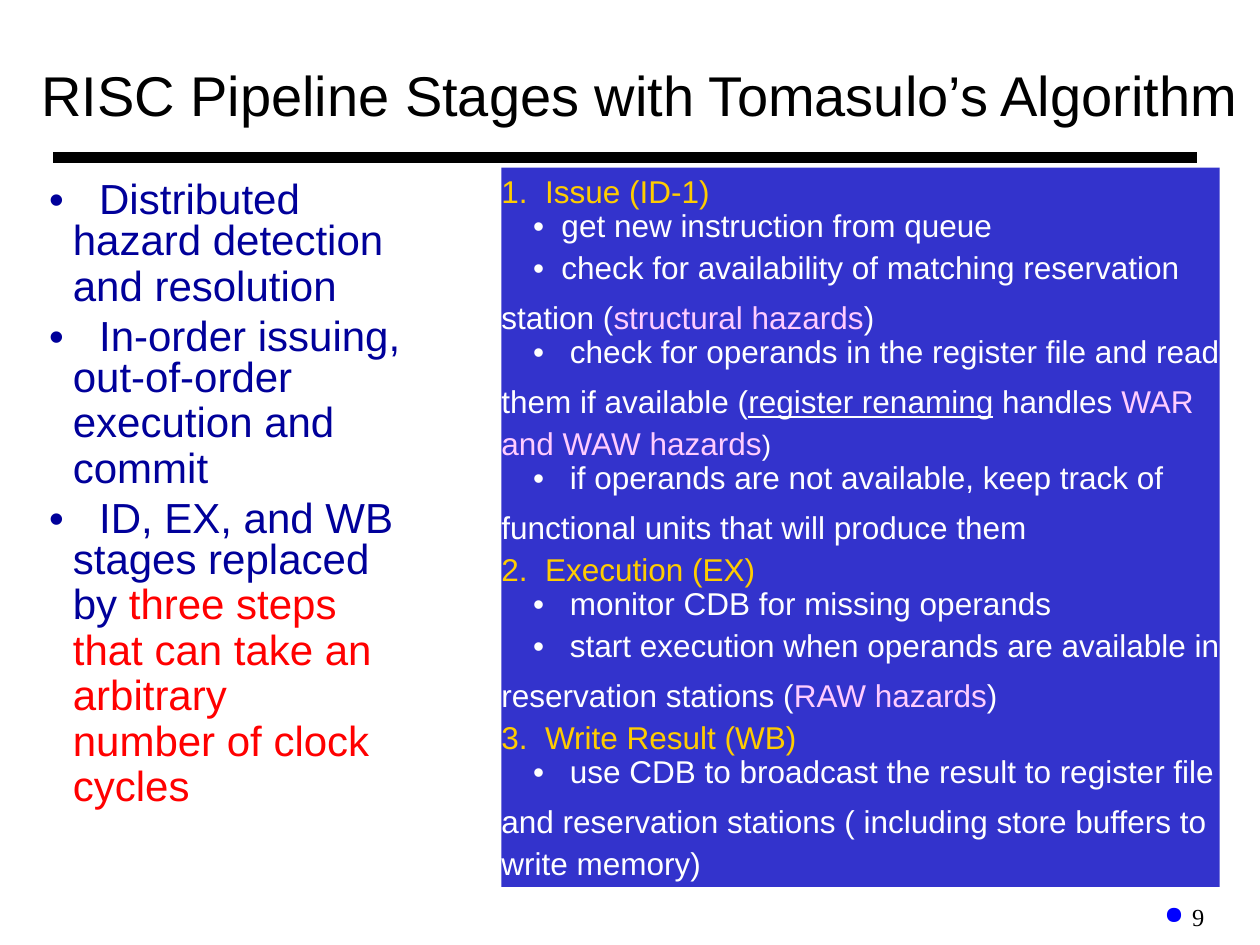
from lxml.etree import SubElement
from pptx import Presentation
from pptx.dml.color import RGBColor
from pptx.enum.shapes import MSO_CONNECTOR, MSO_SHAPE
from pptx.enum.text import MSO_ANCHOR, MSO_AUTO_SIZE, PP_ALIGN
from pptx.oxml.ns import qn
from pptx.util import Cm, Pt

COLOURS = {
    "black": "000000", "white": "FFFFFF", "navy": "00009A", "red": "FF0000",
    "panel": "3333CC", "gold": "FFCC00", "pink": "FFCCFF", "blue": "0000FF",
}

# Each point is a list of lines; each line is a list of (text, colour) spans.
POINTS = [
    [[("Distributed", "navy")], [("hazard detection", "navy")],
     [("and resolution", "navy")]],
    [[("In-order issuing,", "navy")], [("out-of-order", "navy")],
     [("execution and", "navy")], [("commit", "navy")]],
    [[("ID, EX, and WB", "navy")], [("stages replaced", "navy")],
     [("by ", "navy"), ("three steps", "red")], [("that can take an", "red")],
     [("arbitrary", "red")], [("number of clock", "red")], [("cycles", "red")]],
]

# Each stage has a title, then items as (gap after the bullet in cm, spans).
NEAR, FAR = 1.21, 1.38
STAGES = [
    ("Issue (ID-1)", [
        (NEAR, [("get new instruction from queue", "white")]),
        (NEAR, [("check for availability of matching reservation station (", "white"),
                ("structural hazards", "pink"), (")", "white")]),
        (FAR, [("check for operands in the register file and read them if available (",
                "white"),
               ("register renaming", "white", {"underline": True}),
               (" handles ", "white"), ("WAR and WAW hazards", "pink"),
               (")", "white", {"size": Pt(16)})]),
        (FAR, [("if operands are not available, keep track of functional units "
                "that will produce them", "white")]),
    ]),
    ("Execution (EX)", [
        (FAR, [("monitor CDB for missing operands", "white")]),
        (FAR, [("start execution when operands are available in reservation stations (",
                "white"), ("RAW hazards", "pink"), (")", "white")]),
    ]),
    ("Write Result (WB)", [
        (FAR, [("use CDB to broadcast the result to register file and reservation "
                "stations ( including store buffers to write memory)", "white")]),
    ]),
]


class SlideBuilder:
    def __init__(self, page, font="Arial"):
        self.page = page
        self.font = font

    def colour(self, name):
        return RGBColor.from_string(COLOURS[name])

    def frame(self, box, margins, wrap=True):
        frame = box.text_frame
        frame.word_wrap = wrap
        frame.vertical_anchor = MSO_ANCHOR.TOP
        frame.margin_left = frame.margin_right = Cm(margins[0])
        frame.margin_top, frame.margin_bottom = Cm(margins[1]), Cm(margins[2])
        return frame

    def text_box(self, left, top, width, height, margins=(0.25, 0.13, 0.13), wrap=True):
        box = self.page.shapes.add_textbox(Cm(left), Cm(top), Cm(width), Cm(height))
        return self.frame(box, margins, wrap)

    def panel(self, left, top, width, height, margins, fill):
        box = self.page.shapes.add_shape(
            MSO_SHAPE.RECTANGLE, Cm(left), Cm(top), Cm(width), Cm(height))
        box.shadow.inherit = False
        box.fill.solid()
        box.fill.fore_color.rgb = self.colour(fill)
        box.line.fill.background()
        return self.frame(box, margins)

    def rule(self, left, right, height, weight):
        line = self.page.shapes.add_connector(
            MSO_CONNECTOR.STRAIGHT, Cm(left), Cm(height), Cm(right), Cm(height))
        line.line.color.rgb = self.colour("black")
        line.line.width = Pt(weight)
        SubElement(line._element.spPr, qn("a:effectLst"))

    def span(self, para, text, size, colour, extra=None):
        span = para.add_run()
        span.text = text
        span.font.name = self.font
        span.font.size = Pt(size)
        span.font.color.rgb = self.colour(colour)
        for name, value in (extra or {}).items():
            setattr(span.font, name, value)

    def paragraph(self, frame, spans, size, spacing=None, stops=(), lead=None):
        """Add a line of spans; lead is the size of a tab placed in front."""
        para = frame.paragraphs[0]
        if para.runs:
            para = frame.add_paragraph()
        para.alignment = PP_ALIGN.LEFT
        if stops:
            tabs = SubElement(para._p.get_or_add_pPr(), qn("a:tabLst"))
            for stop in stops:
                SubElement(tabs, qn("a:tab"), pos=str(Cm(stop)), algn="l")
        if spacing:
            para.line_spacing = Pt(spacing)
        if lead:
            self.span(para, "\t", lead, "black")
        for text, colour, *extra in spans:
            self.span(para, text, size, colour, *extra)
        return para

    def bullet(self, para, mark, colour, indent):
        properties = para._p.get_or_add_pPr()
        properties.set("marL", str(Cm(indent)))
        properties.set("indent", str(-Cm(indent)))
        fill = SubElement(properties, qn("a:buClr"))
        SubElement(fill, qn("a:srgbClr"), val=COLOURS[colour])
        SubElement(properties, qn("a:buChar"), char=mark)


def main():
    deck = Presentation()
    deck.slide_width, deck.slide_height = Cm(25.4), Cm(19.05)
    builder = SlideBuilder(deck.slides.add_slide(deck.slide_layouts[6]))

    title = builder.text_box(0.58, 1.09, 24.94, 1.63, wrap=False)
    title.auto_size = MSO_AUTO_SIZE.SHAPE_TO_FIT_TEXT
    builder.paragraph(
        title, [("RISC Pipeline Stages with Tomasulo’s Algorithm", "black")], 32)
    builder.rule(1.07, 24.13, 3.18, 6)

    summary = builder.text_box(0.99, 3.58, 8.71, 12.98, (0, 0, 0.13))
    for first, *rest in POINTS:
        builder.paragraph(summary, [("•\t", "navy"), *first], 24, 26, [1.01])
        for line in rest:
            builder.paragraph(summary, line, 24, 26, [0.48], lead=36)

    steps = builder.panel(10.11, 3.38, 14.48, 14.5, (0, 0, 0.13), "panel")
    for number, (name, items) in enumerate(STAGES, 1):
        builder.paragraph(steps, [(f"{number}.\t{name}", "gold")], 18, 24, [0.88])
        for gap, spans in items:
            builder.paragraph(
                steps, [("•\t", "white"), *spans], 18, 24, [0.64, gap], lead=40)

    builder.font = "Times New Roman"
    footer = builder.text_box(19.25, 18.06, 5.28, 1.27)
    page_number = builder.paragraph(footer, [("9", "black")], 14)
    page_number.alignment = PP_ALIGN.RIGHT
    builder.bullet(page_number, "●", "blue", 0.56)

    deck.save("out.pptx")


if __name__ == "__main__":
    main()
